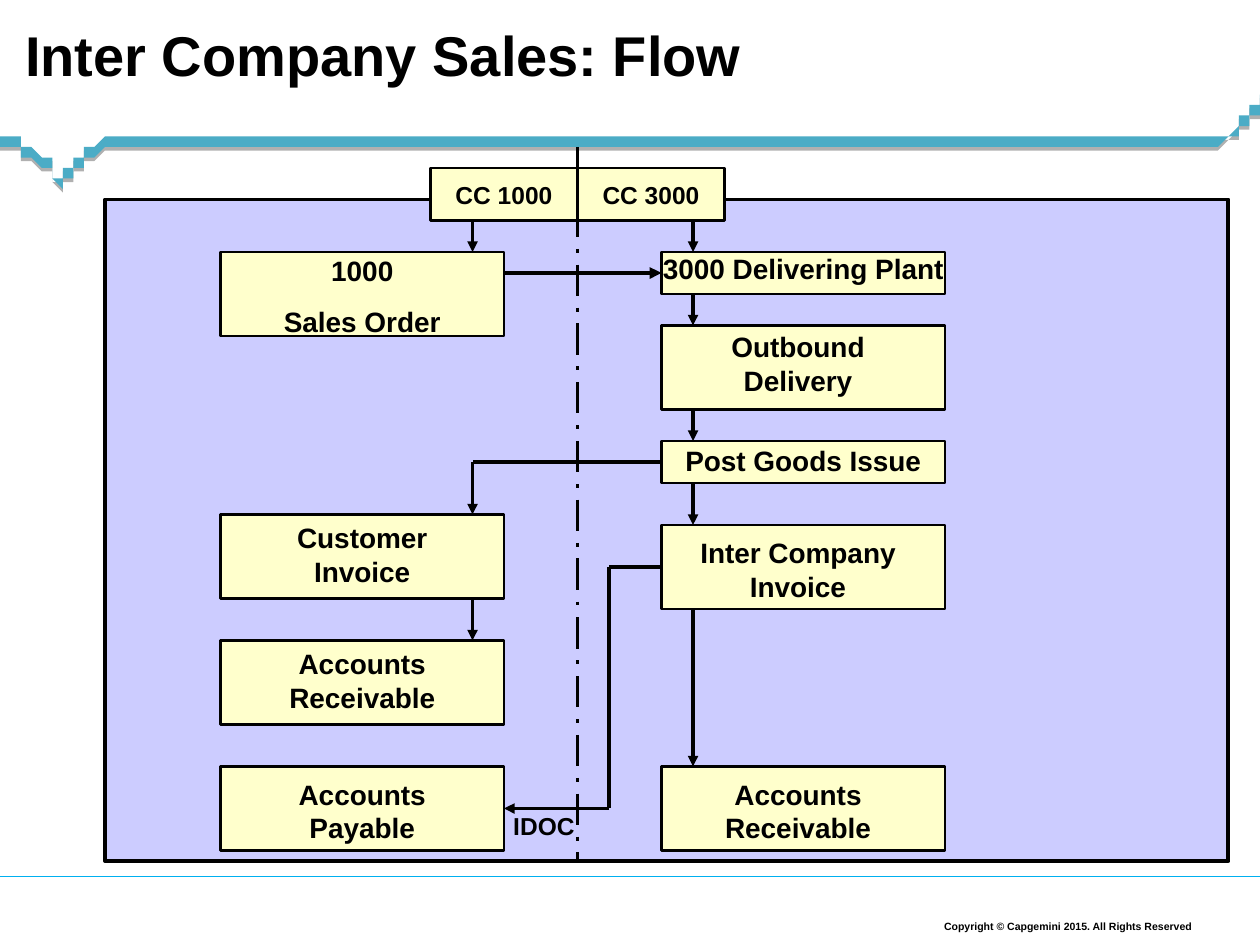
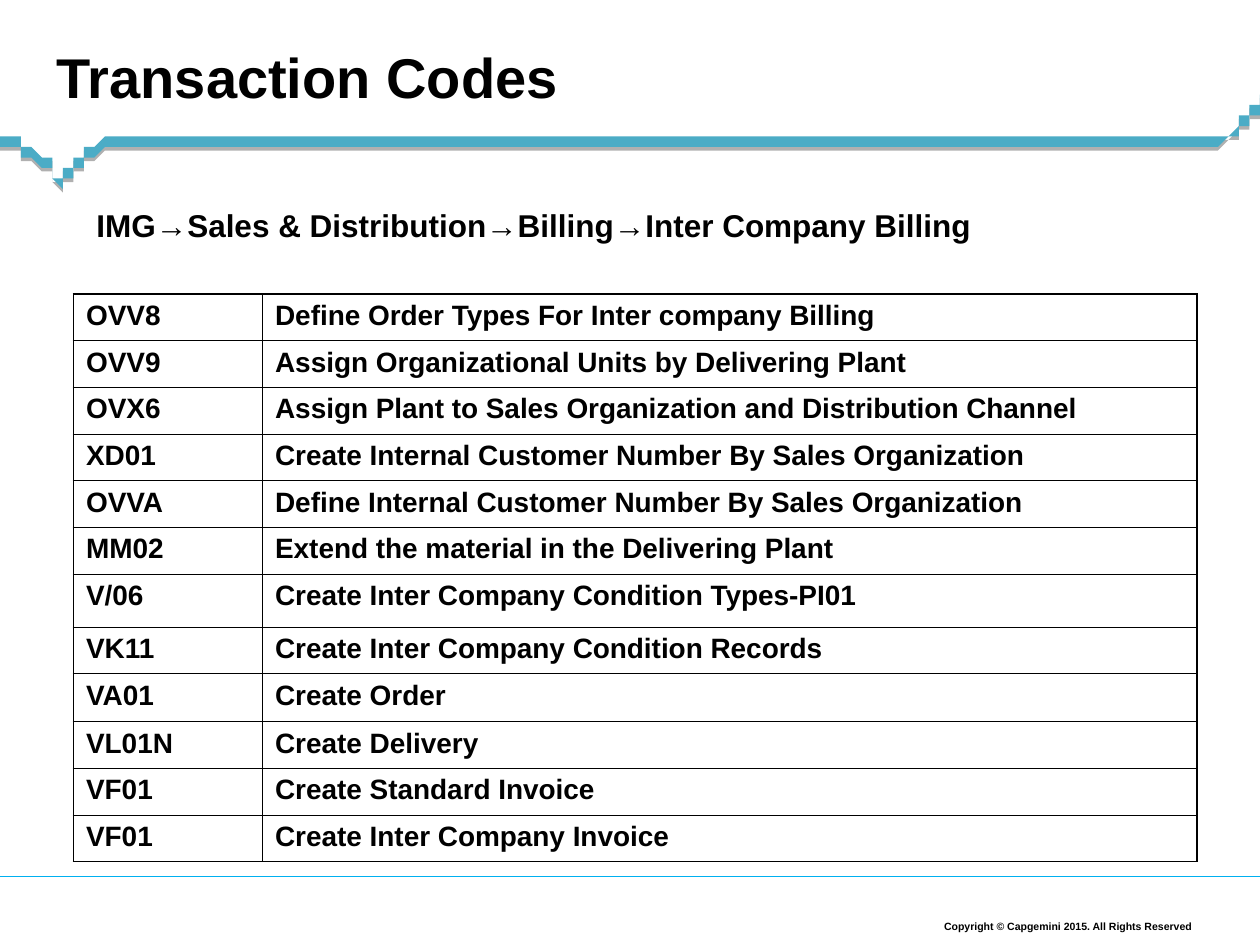
from dataclasses import dataclass

import pptx
import pptx.dml.color
import pptx.enum.dml
import pptx.enum.shapes
import pptx.enum.text
import pptx.oxml
import pptx.oxml.ns
import pptx.util
from pptx.dml.color import RGBColor
from pptx.util import Pt

# Shared look
BLACK = RGBColor(0x00, 0x00, 0x00)
TEAL = RGBColor(0x4B, 0xAC, 0xC6)
SKY = RGBColor(0x00, 0xB0, 0xF0)
LILAC = RGBColor(0xCC, 0xCC, 0xFF)
CREAM = RGBColor(0xFF, 0xFF, 0xCC)
FONT = "Arial"
ALIGN = pptx.enum.text.PP_ALIGN
ANCHOR = pptx.enum.text.MSO_ANCHOR
RECT = pptx.enum.shapes.MSO_SHAPE.RECTANGLE
DASH = pptx.enum.dml.MSO_LINE.LONG_DASH_DOT

# Grid of 120 columns by 90 rows; both steps are one cell
WIDTH, HEIGHT = pptx.util.Inches(10), pptx.util.Inches(7.5)
COLS, ROWS = 120, 90
CELL = WIDTH // COLS


def grid(*steps: float) -> list[pptx.util.Emu]:
    return [pptx.util.Emu(round(step * CELL)) for step in steps]


@dataclass(frozen=True)
class Node:
    text: str
    col: float
    row: float
    wide: float = 27
    high: float = 8
    drop: float = 1.0   # text below the top edge
    pad: float = 2.7    # text in from each side
    shift: float = 0    # text moved to the left
    size: float = 16


@dataclass(frozen=True)
class Link:
    start: tuple[float, float]
    end: tuple[float, float]
    head: bool = True
    width: float = 2
    source: tuple[str, int] | None = None
    target: tuple[str, int] | None = None


NODES = {
    "cc1": Node("CC 1000", 41, 16, 14, 5, 1.1, 0.1, size=14),
    "cc3": Node("CC 3000", 55, 16, 14, 5, 1.1, 0.1, size=14),
    "plant": Node("3000 Delivering Plant", 63, 24, high=4, drop=0, pad=0),
    "goods out": Node("Outbound Delivery", 63, 31, drop=0.4, shift=0.5),
    "inter": Node("Inter Company Invoice", 63, 50, shift=0.5),
    "order": Node("1000\nSales Order", 21, 24, drop=0.1),
    "issue": Node("Post Goods Issue", 63, 42, high=4, drop=0.2, pad=0.1),
    "bill": Node("Customer Invoice", 21, 49, drop=0.6),
    "due": Node("Accounts Receivable", 21, 61, drop=0.6),
    "owed": Node("Accounts Payable", 21, 73),
    "due 3": Node("Accounts Receivable", 63, 73, shift=0.5),
}

# Straight drops: column, then top and bottom rows
DROPS = {66: [(21, 24), (28, 31), (39, 42), (46, 50), (58, 73)],
         45: [(21, 24), (44, 49), (57, 61)]}
LINKS = [Link((col, top), (col, base))
         for col, spans in DROPS.items() for top, base in spans] + [
    Link((55, 16), (55, 21), head=False),
    Link((63, 44), (45, 44), head=False, source=("issue", 1)),
    Link((48, 26), (63, 26), width=2.25, target=("plant", 1)),
    Link((63, 54), (58, 54), head=False, source=("inter", 1)),
    Link((58, 54), (58, 77), head=False),
    Link((58, 77), (48, 77), target=("owed", 3)),
]

CODES = [
    ("OVV8", "Define Order Types For Inter company Billing"),
    ("OVV9", "Assign Organizational Units by Delivering Plant"),
    ("OVX6", "Assign Plant to Sales Organization and Distribution Channel"),
    ("XD01", "Create Internal Customer Number By Sales Organization"),
    ("OVVA", "Define Internal Customer Number By Sales Organization"),
    ("MM02", "Extend the material in the Delivering Plant"),
    ("V/06", "Create Inter Company Condition Types-PI01"),
    ("VK11", "Create Inter Company Condition Records"),
    ("VA01", "Create Order"),
    ("VL01N", "Create Delivery"),
    ("VF01", "Create Standard Invoice"),
    ("VF01", "Create Inter Company Invoice"),
]
TALL = {"V/06": 5.04, "VA01": 4.56}


def write(frame, text: str, size: float, align=ALIGN.LEFT) -> None:
    frame.text = text
    for order, para in enumerate(frame.paragraphs):
        para.alignment = align
        if order:
            para.space_before = Pt(10)
        font = para.font
        font.name, font.size, font.bold = FONT, Pt(size), True
        font.color.rgb = BLACK


def inset(frame, left: float, top: float, right: float, base: float) -> None:
    (frame.margin_left, frame.margin_top,
     frame.margin_right, frame.margin_bottom) = grid(left, top, right, base)


def label(slide, text: str, area: tuple, size: float, align=ALIGN.LEFT):
    box = slide.shapes.add_textbox(*grid(*area))
    frame = box.text_frame
    frame.word_wrap = True
    inset(frame, 1.2, 0.6, 1.2, 0.6)
    write(frame, text, size, align)
    return box


def block(slide, area: tuple, fill: RGBColor, width: float):
    shape = slide.shapes.add_shape(RECT, *grid(*area))
    shape.shadow.inherit = False
    shape.fill.solid()
    shape.fill.fore_color.rgb = fill
    shape.line.color.rgb, shape.line.width = BLACK, Pt(width)
    return shape


def put_node(slide, node: Node):
    shape = block(slide, (node.col, node.row, node.wide, node.high), CREAM, 1.5)
    frame = shape.text_frame
    frame.word_wrap, frame.vertical_anchor = True, ANCHOR.TOP
    inset(frame, max(node.pad - node.shift, 0), node.drop,
          node.pad + node.shift, 0)
    write(frame, node.text, node.size, ALIGN.CENTER)
    return shape


def put_line(slide, start: tuple, end: tuple, width: float, color=BLACK):
    kind = pptx.enum.shapes.MSO_CONNECTOR.STRAIGHT
    line = slide.shapes.add_connector(kind, *grid(*start, *end))
    line.line.color.rgb, line.line.width = color, Pt(width)
    tag = pptx.oxml.ns.qn("a:effectLst")
    line.element.spPr.append(line.element.makeelement(tag))
    return line


def put_link(slide, link: Link, shapes: dict) -> None:
    line = put_line(slide, link.start, link.end, link.width)
    if link.source:
        name, side = link.source
        line.begin_connect(shapes[name], side)
    if link.target:
        name, side = link.target
        line.end_connect(shapes[name], side)
    if link.head:
        edge = line.line._get_or_add_ln()
        tag = pptx.oxml.ns.qn("a:tailEnd")
        edge.append(edge.makeelement(tag, {"type": "triangle"}))


def curve(*knots: tuple[float, float], steps: int = 16) -> list:
    """Points along a cubic curve, without its first one."""
    points = []
    for step in range(1, steps + 1):
        t = step / steps
        shares = ((1 - t) ** 3, 3 * t * (1 - t) ** 2,
                  3 * t * t * (1 - t), t ** 3)
        points.append(tuple(sum(share * knot[axis]
                                for share, knot in zip(shares, knots))
                            for axis in (0, 1)))
    return points


def put_band(slide):
    tip, rise, flat = (5.8, 17.5), (COLS, 8.9), 13.2
    top = [(0, flat)]
    top += curve((0, flat), (4.6, flat), tip, tip)
    top += curve(tip, tip, (7.1, flat), (11.6, flat))
    top.append((114.1, flat))
    top += curve((114.1, flat), (118.7, flat), rise, rise)
    base = [(x, y + 0.95) for x, y in reversed(top)]
    build = slide.shapes.build_freeform(*top[0], scale=CELL)
    build.add_line_segments(top[1:] + base, close=True)
    band = build.convert_to_shape()
    band.fill.solid()
    band.fill.fore_color.rgb = TEAL
    band.line.fill.background()
    names = pptx.oxml.ns.nsdecls("a")
    band.element.spPr.append(pptx.oxml.parse_xml(
        f'<a:effectLst {names}><a:outerShdw dist="{Pt(2)}" dir="5400000" '
        'algn="tl" rotWithShape="0"><a:srgbClr val="000000">'
        '<a:alpha val="31000"/></a:srgbClr></a:outerShdw></a:effectLst>'))
    return band


def dress(layout, slide) -> None:
    """Draw the band, footer and rule, then hand them to the layout."""
    foot = label(slide, "Copyright © Capgemini 2015. All Rights Reserved",
                 (81.7, 86.9, 32.3, 2.4), 6, ALIGN.RIGHT)
    frame = foot.text_frame
    frame.vertical_anchor = ANCHOR.BOTTOM
    frame.paragraphs[0].line_spacing = 0.9
    inset(frame, 0.5, 0.5, 0.5, 0.5)
    rule = put_line(slide, (COLS, 83.5), (0, 83.5), 0.75, SKY)
    for part in (put_band(slide), foot, rule):
        layout.shapes.element.append(part.element)


def put_title(slide, text: str, col: float, row: float) -> None:
    title = slide.shapes.title
    title.left, title.top, title.width, title.height = grid(col, row, 114.6, 8.8)
    frame = title.text_frame
    frame.auto_size = pptx.enum.text.MSO_AUTO_SIZE.NONE
    frame.vertical_anchor = ANCHOR.TOP
    inset(frame, 0, 0, 0, 0)
    write(frame, text, 32)


def rim(cell, **widths: float) -> None:
    """Cell borders in points, given in the order L, R, T, B."""
    props = cell._tc.get_or_add_tcPr()
    names = pptx.oxml.ns.nsdecls("a")
    for order, (side, width) in enumerate(widths.items()):
        props.insert(order, pptx.oxml.parse_xml(
            f'<a:ln{side} {names} w="{Pt(width)}"><a:solidFill>'
            f'<a:srgbClr val="{BLACK}"/></a:solidFill></a:ln{side}>'))


def put_table(slide) -> None:
    thin, thick = 0.45, 1.08
    highs = [TALL.get(code, 4.45) for code, _ in CODES]
    area = grid(7, 28, 107, sum(highs))
    table = slide.shapes.add_table(len(CODES), 2, *area).table
    table.first_row = table.horz_banding = False
    for column, wide in zip(table.columns, grid(18, 89)):
        column.width = wide
    last = len(CODES) - 1
    for r, (entry, high) in enumerate(zip(CODES, grid(*highs))):
        table.rows[r].height = high
        for c, text in enumerate(entry):
            cell = table.cell(r, c)
            inset(cell, 1.2, 0.6, 1.2, 0.6)
            write(cell.text_frame, text, 16)
            cell.fill.background()
            rim(cell, L=thin if c else thick, R=thick if c else thin,
                T=thin if r else thick, B=thick if r == last else thin)


def draw_flow(slide) -> None:
    put_title(slide, "Inter Company Sales: Flow", 2.4, 2)
    block(slide, (10, 19, 107, 63), LILAC, 2.25)
    shapes = {name: put_node(slide, node) for name, node in NODES.items()}
    for link in LINKS:
        put_link(slide, link, shapes)
    # Border between the two company codes
    put_line(slide, (55, 14), (55, 82), 2.25).line.dash_style = DASH
    label(slide, "IDOC", (47.3, 76.6, 9, 4), 14, ALIGN.CENTER)


def draw_codes(slide) -> None:
    put_title(slide, "Transaction Codes", 5.4, 4)
    put_table(slide)
    label(slide, "IMG→Sales & Distribution→Billing→Inter Company Billing",
          (8, 19, 90.5, 4.8), 18)


def main() -> None:
    deck = pptx.Presentation()
    deck.slide_width, deck.slide_height = WIDTH, HEIGHT
    layout = deck.slide_layouts[5]
    flow, codes = (deck.slides.add_slide(layout) for _ in range(2))
    dress(layout, flow)
    draw_flow(flow)
    draw_codes(codes)
    deck.save("out.pptx")


if __name__ == "__main__":
    main()
